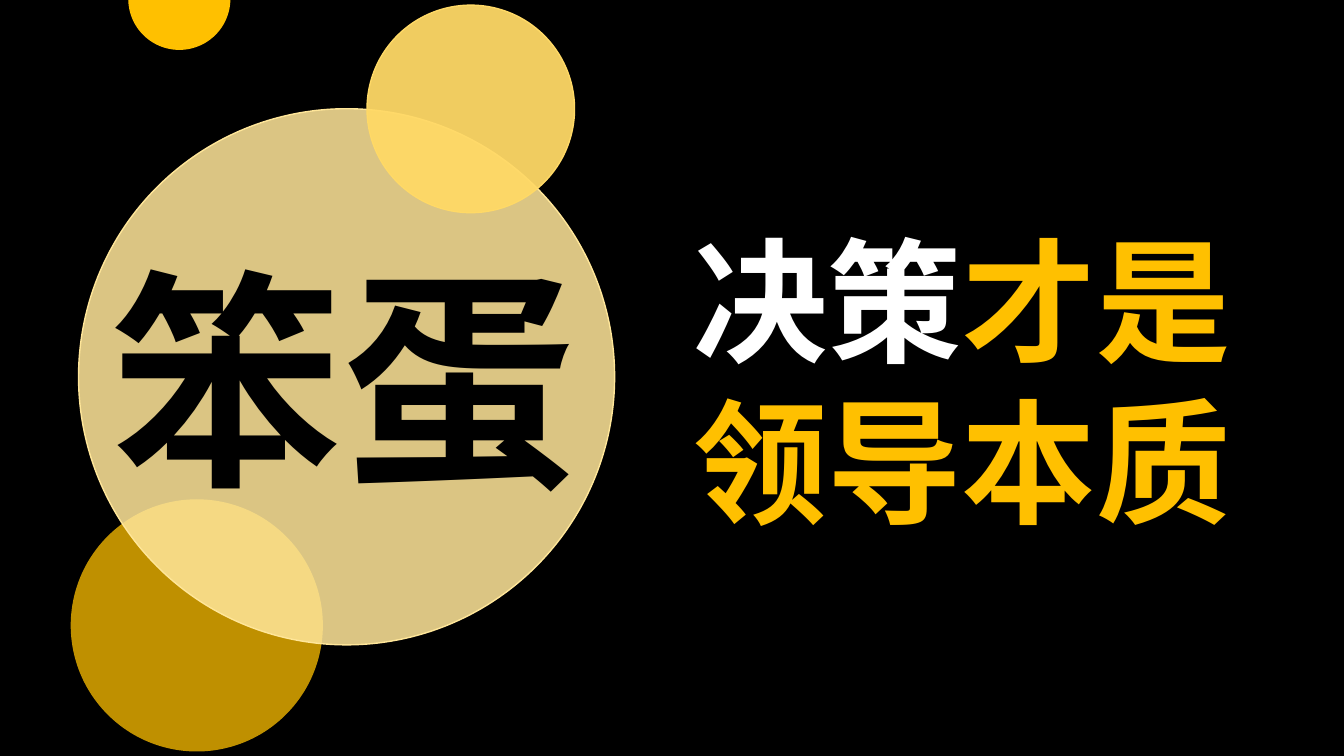
from dataclasses import dataclass

from lxml import etree
from pptx import Presentation
from pptx.dml.color import RGBColor
from pptx.enum.shapes import MSO_SHAPE
from pptx.enum.text import MSO_AUTO_SIZE
from pptx.oxml.ns import qn
from pptx.util import Cm, Pt

ELLIPSE = MSO_SHAPE.OVAL
PIE = MSO_SHAPE.PIE
GROW = MSO_AUTO_SIZE.SHAPE_TO_FIT_TEXT


@dataclass(frozen=True)
class Theme:
    """Colours, type sizes and font of the slide."""
    black: str = "000000"
    white: str = "FFFFFF"
    gold: str = "FFC000"
    dark_gold: str = "BF9000"
    mid_gold: str = "FFD966"
    pale_gold: str = "FFE699"
    font: str = "Noto Sans CJK SC"
    hero_size: int = 166
    title_size: int = 96


THEME = Theme()


def set_fill(fill, color, opacity=100):
    """Fill with a solid colour at an opacity in percent."""
    fill.solid()
    fill.fore_color.rgb = RGBColor.from_string(color)
    if opacity < 100:
        clr = fill._xPr.find(qn("a:solidFill"))[0]
        etree.SubElement(clr, qn("a:alpha"), val=str(opacity * 1000))


def add_bubble(s, left, top, size, color, opacity=100, kind=ELLIPSE):
    """Add a round shape with an outline of its own colour."""
    sp = s.shapes.add_shape(kind, Cm(left), Cm(top), Cm(size), Cm(size))
    sp.shadow.inherit = False
    set_fill(sp.fill, color, opacity)
    set_fill(sp.line.fill, color)
    sp.line.width = Pt(1)
    return sp


def add_half_bubble(s, left, top, size, color):
    """Add the lower half of a bubble."""
    sp = add_bubble(s, left, top, size, color, kind=PIE)
    sp.adjustments[0] = 0
    sp.adjustments[1] = 108


def add_text(s, left, top, width, height, size, runs):
    """Add a bold text box from (text, colour) runs."""
    tf = s.shapes.add_textbox(Cm(left), Cm(top), Cm(width), Cm(height)).text_frame
    tf.word_wrap = True
    tf.auto_size = GROW
    p = tf.paragraphs[0]
    for text, color in runs:
        r = p.add_run()
        r.text = text
        r.font.size = Pt(size)
        r.font.bold = True
        r.font.color.rgb = RGBColor.from_string(color)
        r.font.name = THEME.font
        etree.SubElement(r.font._element, qn("a:ea"), typeface=THEME.font)


def main():
    """Build the slide and save it."""
    prs = Presentation()
    prs.slide_width, prs.slide_height = Cm(33.87), Cm(19.05)
    s = prs.slides.add_slide(prs.slide_layouts[6])
    set_fill(s.background.fill, THEME.black)

    add_bubble(s, 1.8, 12.6, 6.32, THEME.dark_gold)
    add_bubble(s, 1.98, 2.74, 13.51, THEME.pale_gold, 86)
    add_bubble(s, 9.25, 0.13, 5.23, THEME.mid_gold, 94)
    add_half_bubble(s, 3.25, -1.3, 2.54, THEME.gold)

    add_text(s, 2.54, 5.82, 15.47, 7.34, THEME.hero_size, [("笨蛋", THEME.black)])
    add_text(s, 17.22, 5.36, 14.63, 8.46, THEME.title_size,
             [("决策", THEME.white), ("才是领导本质", THEME.gold)])
    prs.save("out.pptx")


if __name__ == "__main__":
    main()
